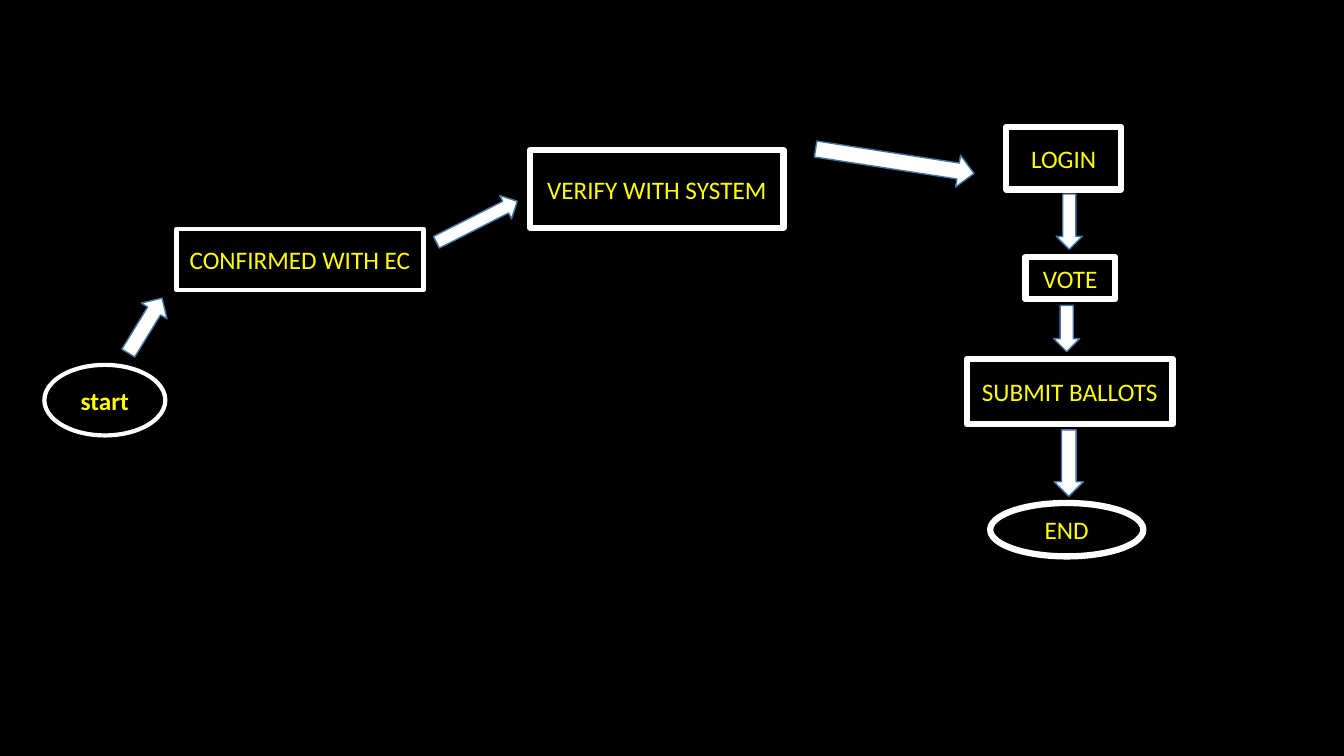
from pptx import Presentation
from pptx.dml.color import RGBColor
from pptx.enum.shapes import MSO_SHAPE
from pptx.enum.text import MSO_ANCHOR, PP_ALIGN
from pptx.util import Inches, Pt

BLACK = RGBColor(0x00, 0x00, 0x00)
WHITE = RGBColor(0xFF, 0xFF, 0xFF)
YELLOW = RGBColor(0xFF, 0xFF, 0x00)
STEEL_BLUE = RGBColor(0x43, 0x73, 0x9E)

OVAL = MSO_SHAPE.OVAL
RECTANGLE = MSO_SHAPE.RECTANGLE
RIGHT_ARROW = MSO_SHAPE.RIGHT_ARROW
MIDDLE = MSO_ANCHOR.MIDDLE
CENTER = PP_ALIGN.CENTER

# label, outline, (left, top, width, height), line width, bold
STEPS = [
    ("start", OVAL, (0.44, 3.62, 1.2, 0.7), 3, True),
    ("CONFIRMED WITH EC", RECTANGLE, (1.75, 2.27, 2.45, 0.61), 3, False),
    ("VERIFY WITH SYSTEM", RECTANGLE, (5.26, 1.49, 2.51, 0.77), 4.5, False),
    ("LOGIN", RECTANGLE, (9.98, 1.26, 1.14, 0.62), 4.5, False),
    ("VOTE", RECTANGLE, (10.17, 2.55, 0.89, 0.42), 4.5, False),
    ("SUBMIT BALLOTS", RECTANGLE, (9.59, 3.56, 2.04, 0.65), 4.5, False),
    ("END", OVAL, (9.82, 4.99, 1.52, 0.53), 4.5, False),
]

# (left, top, width, height) before turning, rotation in degrees
ARROWS = [
    ((1.12, 3.08, 0.64, 0.3), 301.5),
    ((4.28, 2.07, 0.9, 0.26), 333.1),
    ((8.08, 1.44, 1.59, 0.32), 8.8),
    ((10.33, 2.07, 0.55, 0.26), 90),
    ((10.35, 3.13, 0.46, 0.26), 90),
    ((10.27, 4.45, 0.66, 0.29), 90),
]


def add_outlined(slide, outline, box, line_color, line_width):
    shape = slide.shapes.add_shape(outline, *map(Inches, box))
    shape.shadow.inherit = False
    shape.line.color.rgb = line_color
    shape.line.width = Pt(line_width)
    return shape


def add_step(slide, label, outline, box, line_width, bold):
    step = add_outlined(slide, outline, box, WHITE, line_width)
    step.fill.background()
    frame = step.text_frame
    frame.word_wrap = True
    frame.vertical_anchor = MIDDLE
    paragraph = frame.paragraphs[0]
    paragraph.alignment = CENTER
    run = paragraph.add_run()
    run.text = label
    for name, value in {"name": "Calibri", "size": Pt(18), "bold": bold}.items():
        setattr(run.font, name, value)
    run.font.color.rgb = YELLOW


def add_arrow(slide, box, rotation):
    arrow = add_outlined(slide, RIGHT_ARROW, box, STEEL_BLUE, 1)
    arrow.fill.solid()
    arrow.fill.fore_color.rgb = WHITE
    arrow.rotation = rotation


def main():
    deck = Presentation()
    deck.slide_width, deck.slide_height = Inches(13.33), Inches(7.5)
    slide = deck.slides.add_slide(deck.slide_layouts[6])

    # Background
    slide.background.fill.solid()
    slide.background.fill.fore_color.rgb = BLACK

    # Voting steps and the arrows between them
    for step in STEPS:
        add_step(slide, *step)
    for arrow in ARROWS:
        add_arrow(slide, *arrow)

    deck.save("out.pptx")


main()
